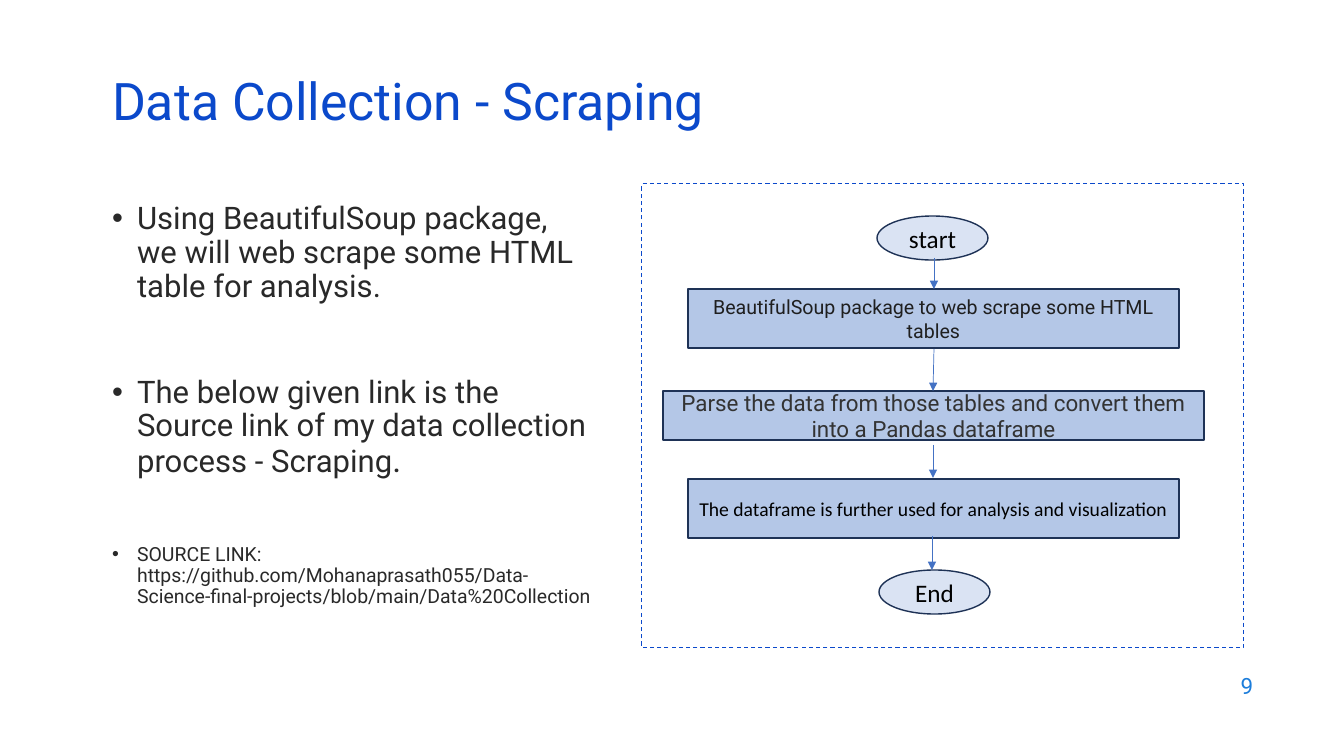
from lxml.etree import SubElement
from pptx import Presentation
from pptx.dml.color import RGBColor
from pptx.enum.dml import MSO_LINE
from pptx.enum.shapes import MSO_CONNECTOR, MSO_SHAPE as SHAPE
from pptx.enum.text import MSO_ANCHOR as ANCHOR, MSO_AUTO_SIZE, PP_ALIGN as ALIGN
from pptx.oxml.ns import qn
from pptx.util import Emu, Pt

EMU_PER_PX = 12192000 / 1344
COLORS = {
    "title": "0B49CB", "body": "292929", "number": "1C7DDB",
    "oval": "DAE3F3", "step": "B4C7E7", "outline": "1E3256", "arrow": "4472C4",
    "black": "000000", "scrape": "1F1F1F", "parse": "333333",
}


def px(*lengths):
    return [Emu(round(n * EMU_PER_PX)) for n in lengths]


def write(p, text, size, color, font="Roboto", align=ALIGN.LEFT, spacing=None, before=0):
    """Add a formatted run to paragraph p and set the paragraph's layout."""
    p.alignment = align
    p.space_before = Pt(before)
    if spacing:
        p.line_spacing = spacing
    r = p.add_run()
    r.text = text
    r.font.size, r.font.name = Pt(size), font
    r.font.color.rgb = RGBColor.from_string(COLORS[color])


prs = Presentation()
prs.slide_width, prs.slide_height = px(1344, 756)
s = prs.slides.add_slide(prs.slide_layouts[1])

# Title and bullet list
title, body = s.shapes.title, s.placeholders[1]
for sp, box in ((title, (102, 77, 1159, 60)), (body, (102, 198, 501, 420))):
    sp.left, sp.top, sp.width, sp.height = px(*box)
    sp.text_frame.word_wrap = True
    sp.text_frame.auto_size = MSO_AUTO_SIZE.NONE
title.text_frame.vertical_anchor = ANCHOR.MIDDLE
write(title.text_frame.paragraphs[0], "Data Collection - Scraping", 37, "title", spacing=0.7)

bullets = [
    ([("Using BeautifulSoup package, we will web scrape some HTML table for analysis.", 22.2)], 0),
    ([("The below given link is the Source link of my data collection process - Scraping", 22.2),
      (".", 24.1)], 52),
    ([("SOURCE LINK: https://github.com/Mohanaprasath055/Data-Science-final-projects"
       "/blob/main/Data%20Collection", 13.9)], 46),
]
indent = px(25)[0]
tf = body.text_frame
for i, (runs, before) in enumerate(bullets):
    p = tf.add_paragraph() if i else tf.paragraphs[0]
    pPr = p._p.get_or_add_pPr()
    pPr.set("marL", str(indent))
    pPr.set("indent", str(-indent))
    SubElement(pPr, qn("a:buFont")).set("typeface", "Arial")
    SubElement(pPr, qn("a:buChar")).set("char", "•")
    for text, size in runs:
        write(p, text, size, "body", spacing=0.9, before=before)

# Flowchart frame
frame = s.shapes.add_shape(SHAPE.RECTANGLE, *px(642, 184, 602, 464))
frame.shadow.inherit = False
frame.fill.background()
frame.line.color.rgb = RGBColor.from_string(COLORS["title"])
frame.line.width = Pt(0.75)
frame.line.dash_style = MSO_LINE.DASH

# Flowchart nodes
OVAL, STEP = SHAPE.OVAL, SHAPE.FLOWCHART_PROCESS
nodes = [
    (OVAL, "oval", (877, 216, 111, 44), "start", 18, "black", "Calibri"),
    (STEP, "step", (688, 289, 491, 59),
     "BeautifulSoup package to web scrape some HTML tables", 14, "scrape", "Roboto"),
    (STEP, "step", (663, 391, 541, 49),
     "Parse the data from those tables and convert them into a Pandas dataframe",
     16, "parse", "Roboto"),
    (STEP, "step", (688, 479, 491, 59),
     "The dataframe is further used for analysis and visualization", 14, "black", "Calibri"),
    (OVAL, "oval", (879, 570, 111, 44), "End", 18, "black", "Calibri"),
]
for kind, fill, box, text, size, color, font in nodes:
    sp = s.shapes.add_shape(kind, *px(*box))
    sp.shadow.inherit = False
    sp.fill.solid()
    sp.fill.fore_color.rgb = RGBColor.from_string(COLORS[fill])
    sp.line.color.rgb = RGBColor.from_string(COLORS["outline"])
    sp.line.width = Pt(1)
    tf = sp.text_frame
    tf.word_wrap = True
    tf.vertical_anchor = ANCHOR.MIDDLE
    write(tf.paragraphs[0], text, size, color, font=font, align=ALIGN.CENTER)

# Arrows between nodes
arrows = [(934, 258, 934, 289), (934, 349, 933, 391), (933, 445, 933, 478), (932, 536, 932, 570)]
for ends in arrows:
    arrow = s.shapes.add_connector(MSO_CONNECTOR.STRAIGHT, *px(*ends))
    arrow.line.color.rgb = RGBColor.from_string(COLORS["arrow"])
    arrow.line.width = Pt(0.5)
    SubElement(arrow.line._get_or_add_ln(), qn("a:tailEnd")).set("type", "triangle")
    SubElement(arrow._element.spPr, qn("a:effectLst"))

# Slide number
tf = s.shapes.add_textbox(*px(961, 664, 302, 44)).text_frame
tf.word_wrap = True
tf.vertical_anchor = ANCHOR.MIDDLE
write(tf.paragraphs[0], "9", 16, "number", align=ALIGN.RIGHT)

prs.save("out.pptx")
